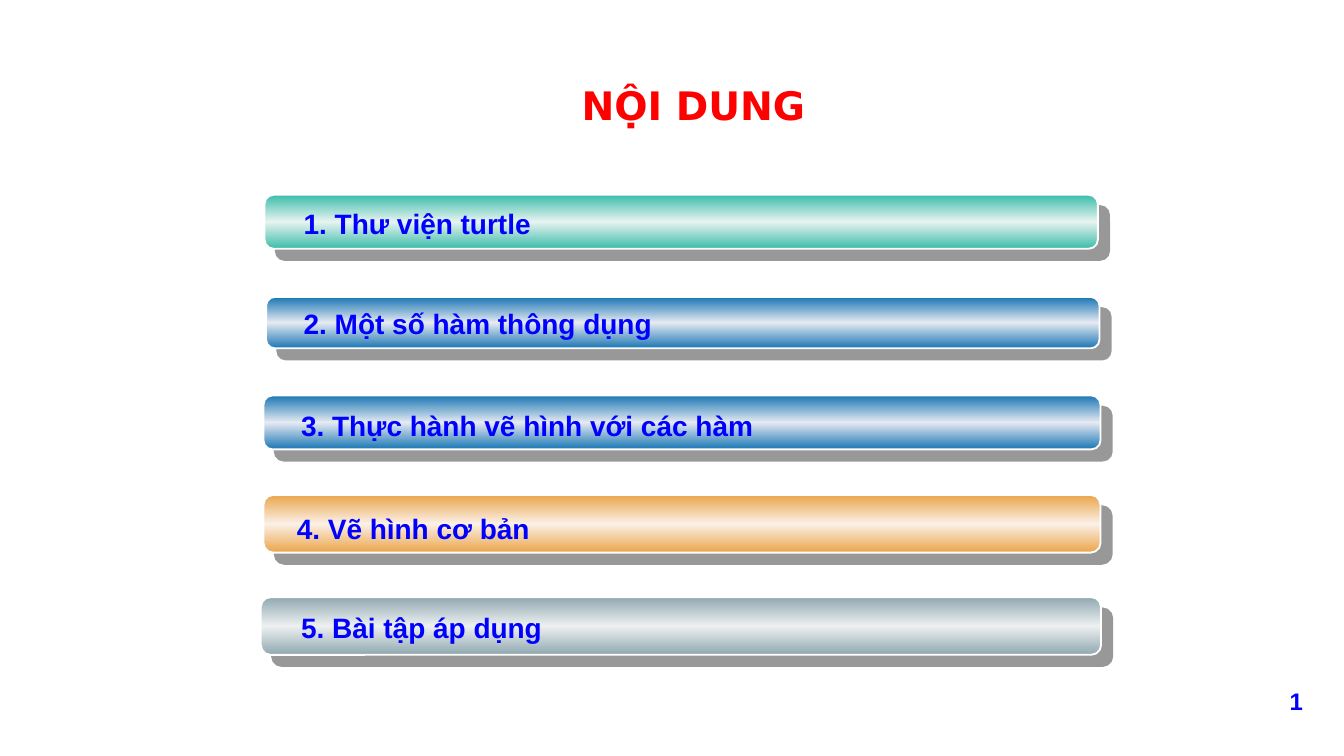
from copy import deepcopy
from dataclasses import dataclass

from lxml import etree
from pptx import Presentation
from pptx.dml.color import RGBColor
from pptx.enum import shapes, text
from pptx.oxml.ns import qn
from pptx.util import Cm, Pt


@dataclass(frozen=True)
class Theme:
    title_color: str = "FF0000"
    text_color: str = "0000FF"
    border: str = "FFFFFF"
    shadow: str = "333333"
    teal: tuple = ("3BBDAA", "E7F3F0")
    blue: tuple = ("1A76B4", "E6EAF2")
    orange: tuple = ("EAA54A", "FBF0E7")
    gray: tuple = ("90A8B0", "EDF0F1")
    title_font: str = "DejaVu Sans"
    body_font: str = "Arial"
    title_size: float = 21
    item_size: float = 15
    number_size: float = 12.8


THEME = Theme()
LABEL_HEIGHT = 0.89

# label, edge and middle colours, bar box, label left, top and width (cm)
ITEMS = [
    ("1. Thư viện turtle", THEME.teal, (5, 3.68, 15.75, 1.02), (5.49, 3.78, 14.71)),
    ("2. Một số hàm thông dụng", THEME.blue, (5.03, 5.61, 15.75, 0.97), (5.49, 5.66, 14.17)),
    ("3. Thực hành vẽ hình với các hàm", THEME.blue, (4.98, 7.47, 15.82, 1.02), (5.44, 7.59, 15.11)),
    ("4. Vẽ hình cơ bản", THEME.orange, (4.98, 9.35, 15.82, 1.09), (5.36, 9.53, 15.93)),
    ("5. Bài tập áp dụng", THEME.gray, (4.93, 11.28, 15.88, 1.09), (5.44, 11.4, 13.89)),
]


def cm_box(box):
    return [Cm(v) for v in box]


def write(tf, content, size, font=THEME.body_font, color=THEME.text_color, align=None):
    """Put one bold run into the first paragraph of a text frame."""
    p = tf.paragraphs[0]
    p.alignment = align
    r = p.add_run()
    r.text = content
    r.font.name = font
    r.font.size = Pt(size)
    r.font.bold = True
    r.font.color.rgb = RGBColor.from_string(color)


def add_title(slide, content, box):
    s = slide.shapes.title
    s.left, s.top, s.width, s.height = cm_box(box)
    s.text_frame.vertical_anchor = text.MSO_ANCHOR.MIDDLE
    write(s.text_frame, content, THEME.title_size, THEME.title_font,
          THEME.title_color, text.PP_ALIGN.CENTER)


def add_label(slide, content, box, size, align=None):
    tf = slide.shapes.add_textbox(*cm_box(box)).text_frame
    tf.word_wrap = True
    tf.auto_size = text.MSO_AUTO_SIZE.SHAPE_TO_FIT_TEXT
    write(tf, content, size, align=align)


def fill_gradient(s, edge, middle):
    """Shade a shape vertically from edge to middle and back to edge."""
    s.fill.gradient()
    s.fill.gradient_angle = 270
    stops = s._element.spPr.find(".//" + qn("a:gsLst"))
    stops.insert(1, deepcopy(stops[0]))
    for stop, position, color in zip(s.fill.gradient_stops, (0, 0.5, 1), (edge, middle, edge)):
        stop.position = position
        stop.color.rgb = RGBColor.from_string(color)


def cast_shadow(s):
    """Add a sharp, half-transparent shadow to the lower right."""
    s.shadow.inherit = False
    effects = s._element.spPr.find(qn("a:effectLst"))
    shadow = etree.SubElement(effects, qn("a:outerShdw"), blurRad="0", dist=str(Pt(8.5)),
                              dir=str(45 * 60000), algn="ctr", rotWithShape="0")
    color = etree.SubElement(shadow, qn("a:srgbClr"), val=THEME.shadow)
    etree.SubElement(color, qn("a:alpha"), val="50000")


def add_bar(slide, box, colors):
    s = slide.shapes.add_shape(shapes.MSO_SHAPE.ROUNDED_RECTANGLE, *cm_box(box))
    s.adjustments[0] = 0.17
    fill_gradient(s, *colors)
    s.line.color.rgb = RGBColor.from_string(THEME.border)
    s.line.width = Pt(1)
    cast_shadow(s)


def main():
    prs = Presentation()
    prs.slide_width, prs.slide_height = Cm(25.4), Cm(14.28)
    slide = prs.slides.add_slide(prs.slide_layouts[5])
    add_title(slide, "NỘI DUNG", (5.56, 1.42, 15.09, 1.12))
    for label, colors, bar, place in ITEMS:
        add_bar(slide, bar, colors)
        add_label(slide, label, (*place, LABEL_HEIGHT), THEME.item_size)
    add_label(slide, "1", (24, 12.85, 1, 0.81), THEME.number_size, text.PP_ALIGN.CENTER)
    prs.save("out.pptx")


if __name__ == "__main__":
    main()
